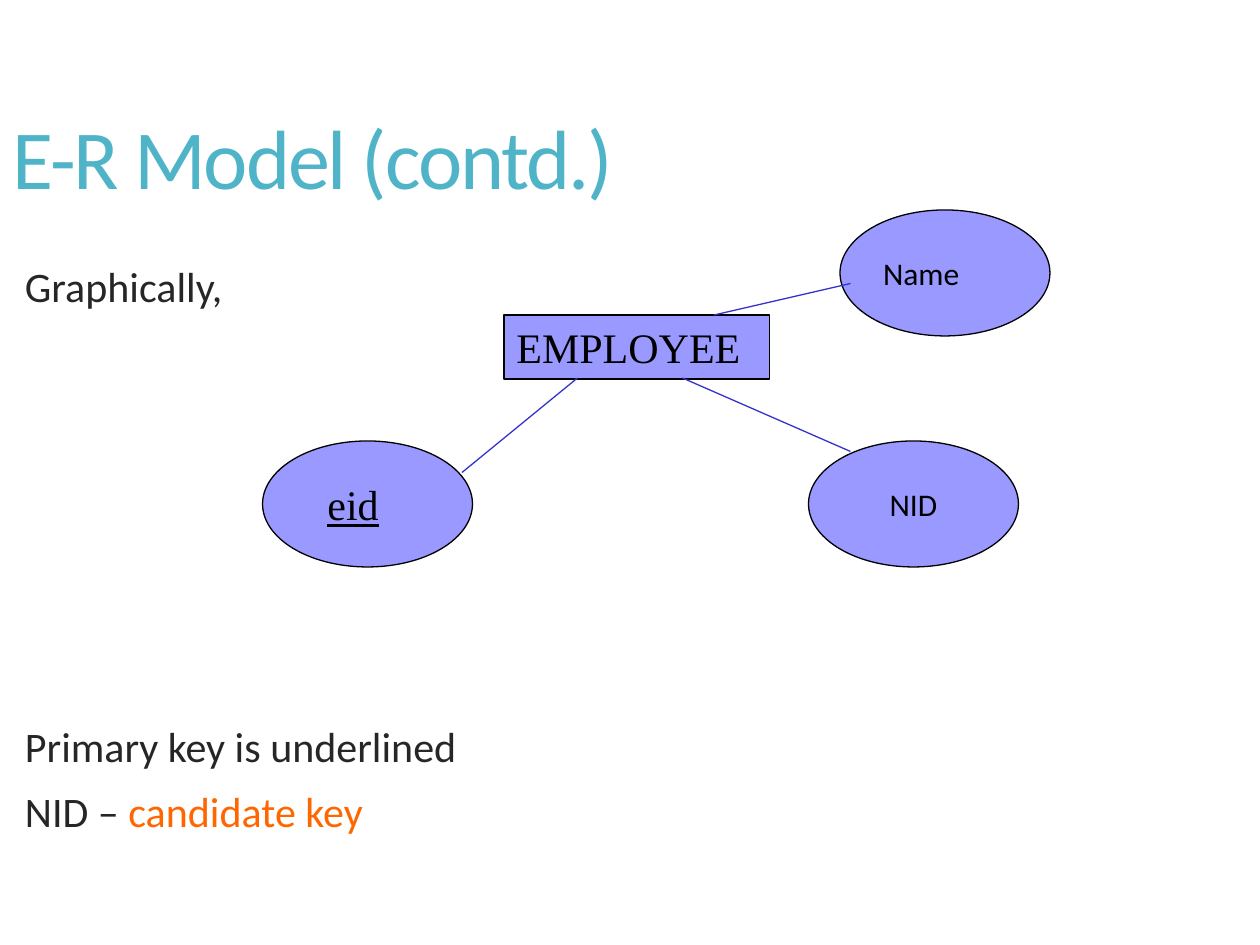
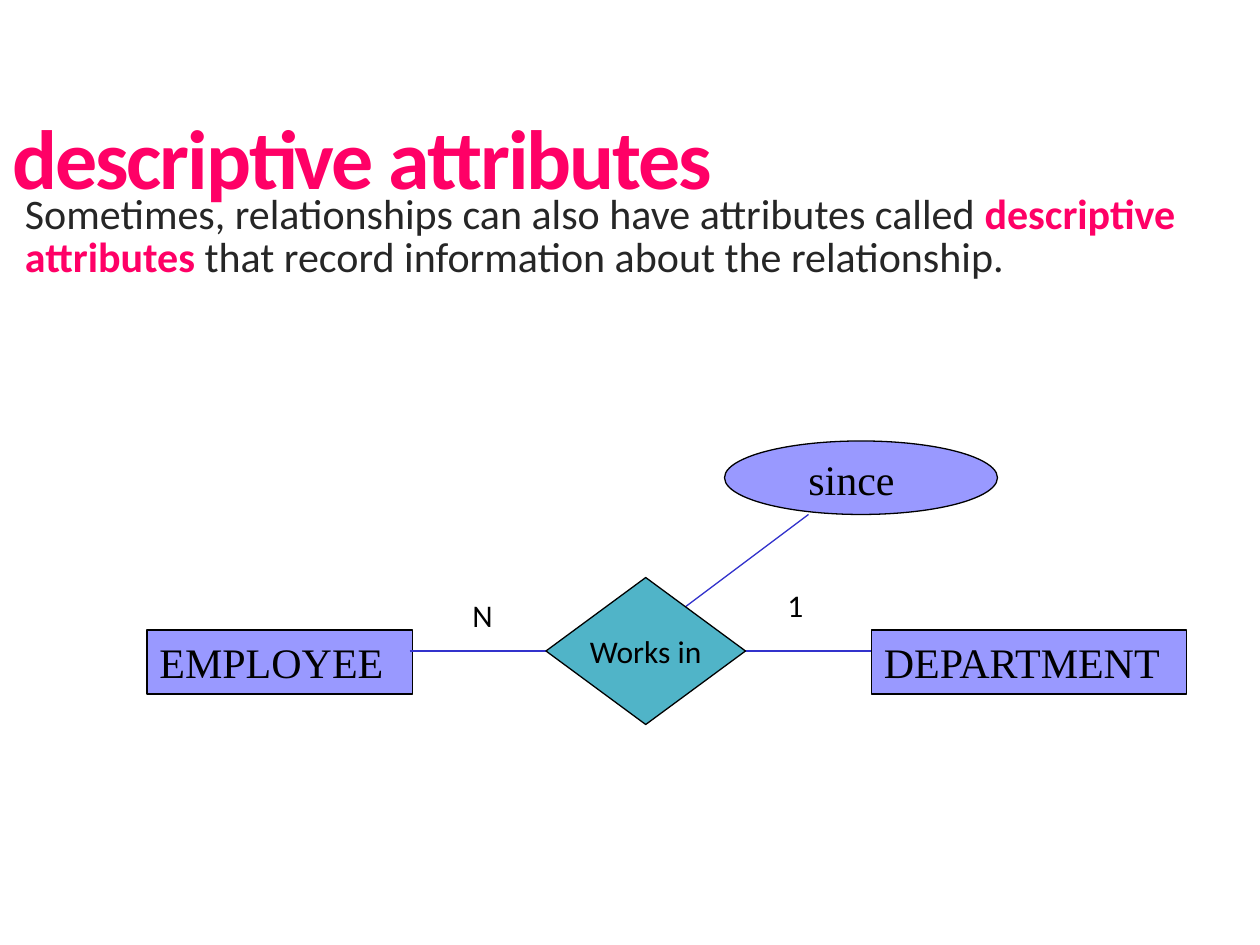
"""Builds two slides on entity-relationship diagrams."""
from dataclasses import dataclass
from typing import Optional, Union

from lxml import etree
from pptx import Presentation
from pptx import util as u
from pptx.dml.color import RGBColor
from pptx.enum import shapes, text
from pptx.oxml.ns import qn

PX = 7620
SANS, SERIF = "Calibri", "Times New Roman"
TEAL, PINK, ORANGE = "50B4C8", "FF0066", "FF6600"
LILAC, BLUE, BLACK, GREY = "9999FF", "3333CC", "000000", "262626"
RECT = shapes.MSO_SHAPE.RECTANGLE
OVAL = shapes.MSO_SHAPE.OVAL
GEM = shapes.MSO_SHAPE.DIAMOND
TOP, MID = text.MSO_ANCHOR.TOP, text.MSO_ANCHOR.MIDDLE
LEFT, MIDST = text.PP_ALIGN.LEFT, text.PP_ALIGN.CENTER


@dataclass
class Title:
    words: str
    color: str
    bold: bool = False


@dataclass
class Bit:
    words: str
    color: str = GREY
    bold: bool = False


@dataclass
class Line:
    bits: list[Bit]
    gap: int = 0


@dataclass
class Body:
    y: int
    w: int
    h: int
    lines: list[Line]


@dataclass
class Node:
    kind: Optional[shapes.MSO_SHAPE]
    x: int
    y: int
    w: int
    h: int
    words: str = ""
    font: str = SERIF
    size: int = 24
    fill: str = LILAC
    anchor: text.MSO_ANCHOR = TOP
    align: text.PP_ALIGN = LEFT
    wrap: bool = True
    under: bool = False


@dataclass
class Link:
    x1: int
    y1: int
    x2: int
    y2: int


Item = Union[Title, Body, Node, Link]


def rgb(code: str) -> RGBColor:
    return RGBColor.from_string(code)


def add_box(slide, x: int, y: int, w: int, h: int):
    return slide.shapes.add_textbox(x * PX, y * PX, w * PX, h * PX)


def style(font, name: str, size: int, color: str) -> None:
    font.name = name
    font.size = u.Pt(size)
    font.color.rgb = rgb(color)


def draw_title(slide, title: Title) -> None:
    frame = add_box(slide, 0, 80, 1080, 150).text_frame
    frame.word_wrap = True
    frame.vertical_anchor = MID
    para = frame.paragraphs[0]
    para.line_spacing = 0.9
    run = para.add_run()
    run.text = title.words
    style(para.font, SANS, 48, title.color)
    para.font.bold = title.bold
    run._r.get_or_add_rPr().set("spc", "-120")


def draw_body(slide, body: Body) -> None:
    frame = add_box(slide, 0, body.y, body.w, body.h).text_frame
    frame.word_wrap = True
    for i, line in enumerate(body.lines):
        para = frame.add_paragraph() if i else frame.paragraphs[0]
        para._p.get_or_add_pPr().set("marL", str(12 * PX))
        para.line_spacing = 0.85
        para.space_before = u.Pt(line.gap)
        style(para.font, SANS, 24, GREY)
        for bit in line.bits:
            run = para.add_run()
            run.text = bit.words
            run.font.color.rgb = rgb(bit.color)
            run.font.bold = bit.bold


def draw_node(slide, node: Node) -> None:
    place = (node.x, node.y, node.w, node.h)
    if node.kind is None:
        shape = add_box(slide, *place)
    else:
        shape = slide.shapes.add_shape(node.kind, *(n * PX for n in place))
        shape.shadow.inherit = False
        shape.fill.solid()
        shape.fill.fore_color.rgb = rgb(node.fill)
        shape.line.color.rgb = rgb(BLACK)
        shape.line.width = u.Pt(0.75)
    if not node.words:
        return
    frame = shape.text_frame
    frame.word_wrap = node.wrap
    frame.vertical_anchor = node.anchor
    para = frame.paragraphs[0]
    para.text = node.words
    para.alignment = node.align
    style(para.font, node.font, node.size, BLACK)
    para.font.underline = node.under


def draw_link(slide, link: Link) -> None:
    ends = (link.x1, link.y1, link.x2, link.y2)
    wire = slide.shapes.add_connector(
        shapes.MSO_CONNECTOR.STRAIGHT, *(n * PX for n in ends))
    wire.line.color.rgb = rgb(BLUE)
    wire.line.width = u.Pt(0.75)
    etree.SubElement(wire._element.spPr, qn("a:effectLst"))


def small(kind: Optional[shapes.MSO_SHAPE], x: int, y: int, w: int, h: int,
          words: str, **more) -> Node:
    return Node(kind, x, y, w, h, words, SANS, 18, wrap=False, **more)


DRAW = {Title: draw_title, Body: draw_body, Node: draw_node, Link: draw_link}

MODEL: list[Item] = [
    Title("E-R Model (contd.)", TEAL),
    Body(250, 1080, 554, [
        Line([Bit("Graphically,")]),
        Line([Bit("Primary key is underlined")], 238),
        Line([Bit("NID – "), Bit("candidate key", ORANGE)], 13),
    ]),
    Node(RECT, 480, 300, 253, 61, "EMPLOYEE"),
    Node(OVAL, 250, 420, 200, 120),
    Node(None, 300, 450, 80, 60, "eid", under=True),
    Link(440, 450, 550, 360),
    small(OVAL, 770, 420, 200, 120, "NID", anchor=MID, align=MIDST),
    Link(650, 360, 810, 430),
    small(OVAL, 800, 200, 200, 120, "Name", anchor=MID),
    Link(810, 270, 680, 300),
]

TRAITS: list[Item] = [
    Body(180, 1140, 680, [Line([
        Bit("Sometimes, relationships can also have attributes called "),
        Bit("descriptive attributes ", PINK, True),
        Bit("that record information about the relationship."),
    ])]),
    Title("descriptive attributes", PINK, True),
    Node(OVAL, 690, 420, 260, 70),
    Node(RECT, 140, 600, 253, 61, "EMPLOYEE"),
    Node(RECT, 830, 600, 300, 61, "DEPARTMENT"),
    Link(390, 620, 530, 620),
    Link(710, 620, 830, 620),
    Node(None, 758, 426, 107, 60, "since", wrap=False),
    Link(770, 490, 650, 580),
    small(GEM, 520, 550, 190, 140, "Works in",
          fill=TEAL, anchor=MID, align=MIDST),
    small(None, 738, 552, 43, 52, "1"),
    small(None, 438, 562, 48, 52, "N"),
]


def main() -> None:
    deck = Presentation()
    deck.slide_width, deck.slide_height = 1200 * PX, 900 * PX
    for items in (MODEL, TRAITS):
        slide = deck.slides.add_slide(deck.slide_layouts[6])
        for item in items:
            DRAW[type(item)](slide, item)
    deck.save("out.pptx")


if __name__ == "__main__":
    main()
